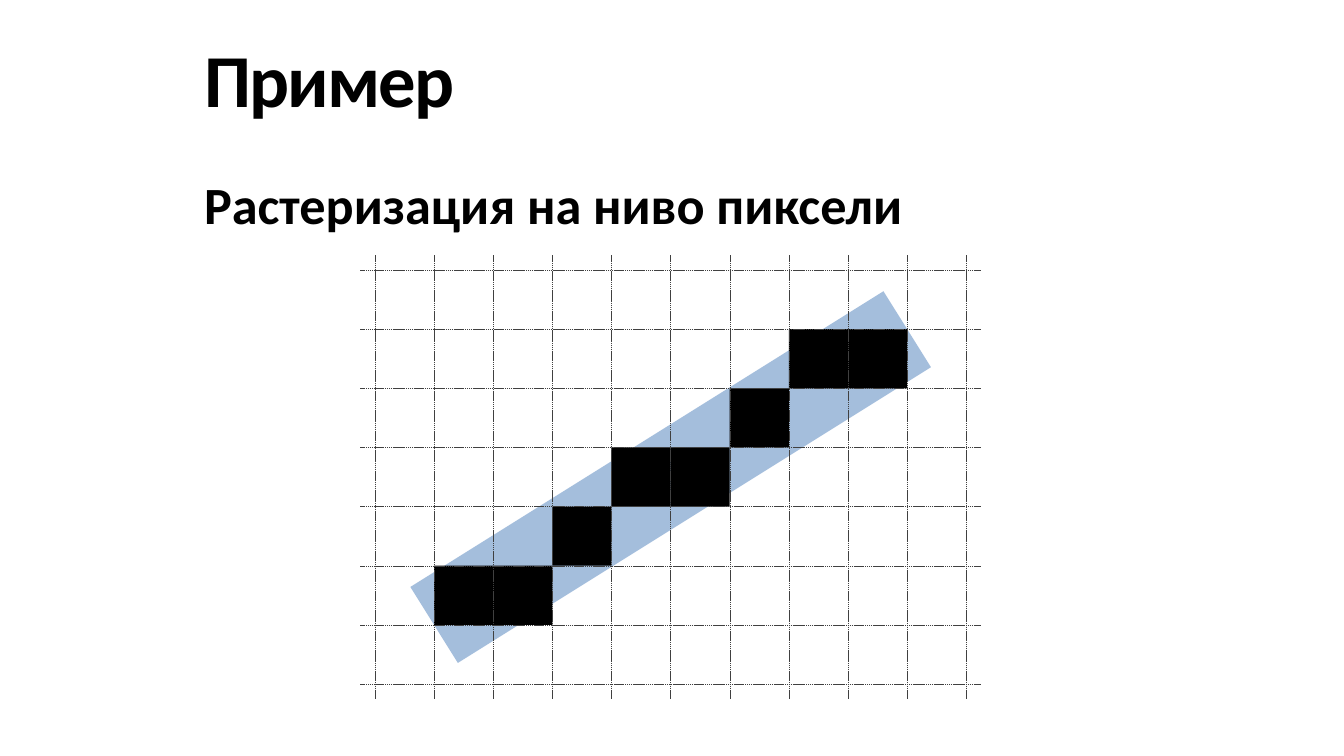
from lxml import etree
from pptx import Presentation
from pptx.dml.color import RGBColor
from pptx.enum.dml import MSO_LINE
from pptx.enum.shapes import MSO_CONNECTOR, MSO_SHAPE
from pptx.enum.text import MSO_ANCHOR
from pptx.oxml.ns import qn
from pptx.util import Inches, Pt

STRAIGHT = MSO_CONNECTOR.STRAIGHT
RECTANGLE = MSO_SHAPE.RECTANGLE
DASH = MSO_LINE.SQUARE_DOT  # written as sysDash
TOP, MIDDLE = MSO_ANCHOR.TOP, MSO_ANCHOR.MIDDLE

# Content
TITLE = "Пример"
SUBTITLE = "Растеризация на ниво пиксели"
PIXELS = [(1, 5), (2, 5), (3, 4), (4, 3), (5, 3), (6, 2), (7, 1), (8, 1)]  # column, row
COLORS = {"text": "000000", "pixel": "000000", "grid": "404040", "band": "4A7EBB"}
FONT = "Calibri"

# Slide and grid geometry in inches
SLIDE_WIDTH = 10
SLIDE_HEIGHT = SLIDE_WIDTH * 9 / 16
CELL = 0.44
GRID_LEFT, GRID_TOP = 2.79, 2.01
COLUMNS, ROWS = 10, 7
OVERHANG = 0.11


def grid_x(column):
    return GRID_LEFT + column * CELL


def grid_y(row):
    return GRID_TOP + row * CELL


def add_text(slide, text, box, size, anchor, spacing=None):
    frame = slide.shapes.add_textbox(*map(Inches, box)).text_frame
    frame.word_wrap = True
    frame.vertical_anchor = anchor
    frame.text = text
    run = frame.paragraphs[0].runs[0]
    run.font.name = FONT
    run.font.size = Pt(size)
    run.font.bold = True
    run.font.color.rgb = RGBColor.from_string(COLORS["text"])
    if spacing is not None:
        run.font._element.set("spc", str(spacing))


def add_line(shapes, start, end, color, width):
    line = shapes.add_connector(STRAIGHT, *map(Inches, (*start, *end)))
    line.line.color.rgb = RGBColor.from_string(color)
    line.line.width = Pt(width)
    etree.SubElement(line._element.spPr, qn("a:effectLst"))
    return line


def add_grid_lines(slide, segments):
    group = slide.shapes.add_group_shape()
    for start, end in segments:
        line = add_line(group.shapes, start, end, COLORS["grid"], 0.25)
        line.line.dash_style = DASH


presentation = Presentation()
presentation.slide_width = Inches(SLIDE_WIDTH)
presentation.slide_height = Inches(SLIDE_HEIGHT)
slide = presentation.slides.add_slide(presentation.slide_layouts[6])

# Ideal line as a wide half-transparent band
band = add_line(slide.shapes, (grid_x(1), grid_y(6)), (grid_x(9), grid_y(1)),
                COLORS["band"], 48)
band_color = band._element.spPr.find(".//" + qn("a:srgbClr"))
etree.SubElement(band_color, qn("a:alpha")).set("val", "50000")

# Rasterized pixels
for column, row in PIXELS:
    pixel = slide.shapes.add_shape(
        RECTANGLE, *map(Inches, (grid_x(column), grid_y(row), CELL, CELL)))
    pixel.shadow.inherit = False
    pixel.fill.solid()
    pixel.fill.fore_color.rgb = RGBColor.from_string(COLORS["pixel"])
    pixel.line.fill.background()

# Headings
add_text(slide, SUBTITLE, (1.42, 1.23, 8.58, 4.08), 28, TOP)
add_text(slide, TITLE, (1.42, 0.15, 8.58, 0.85), 40, MIDDLE, spacing=-100)

# Pixel grid
left, right = GRID_LEFT - OVERHANG, grid_x(COLUMNS) + OVERHANG
top, bottom = GRID_TOP - OVERHANG, grid_y(ROWS) + OVERHANG
add_grid_lines(slide, [((left, grid_y(row)), (right, grid_y(row)))
                       for row in range(ROWS + 1)])
add_grid_lines(slide, [((grid_x(column), top), (grid_x(column), bottom))
                       for column in range(COLUMNS + 1)])

presentation.save("out.pptx")
